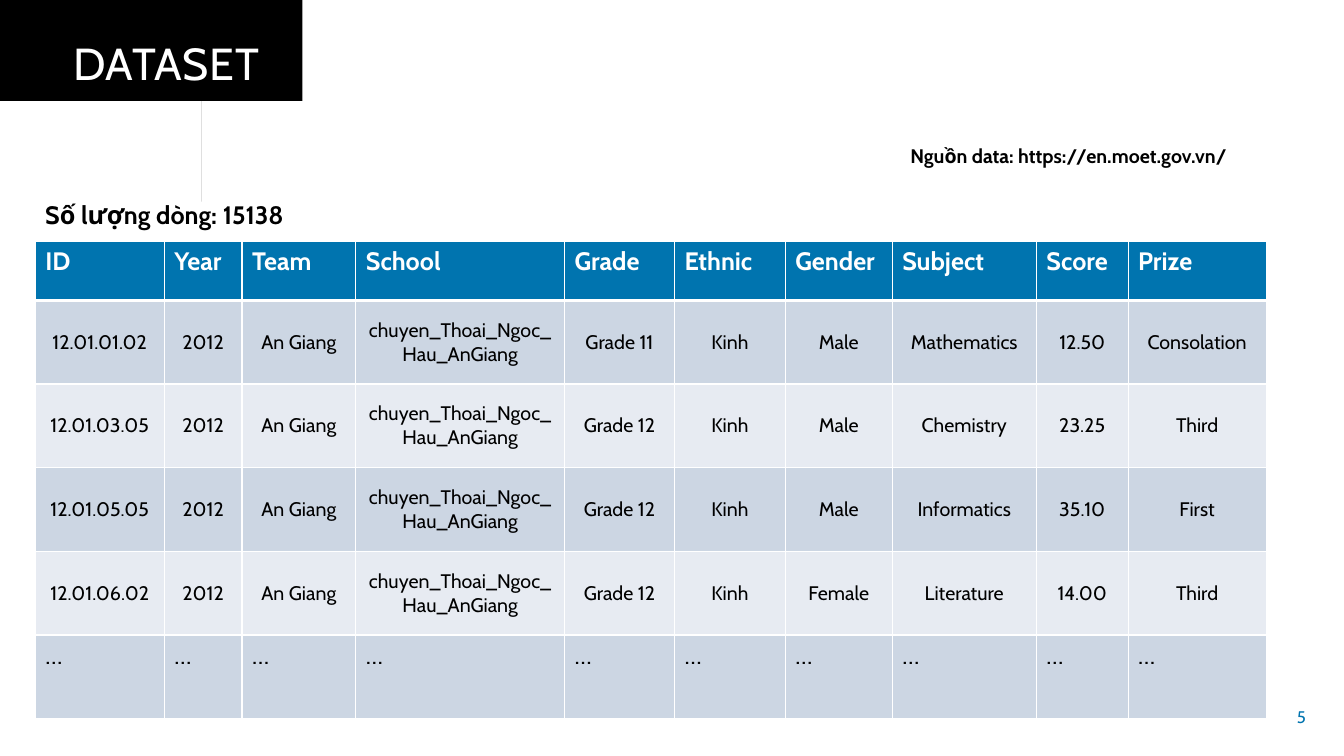
from math import cos, pi, sin

from lxml.etree import SubElement
from pptx import Presentation
from pptx.dml.color import RGBColor
from pptx.enum.text import MSO_ANCHOR as Anchor, PP_ALIGN as Align
from pptx.oxml.ns import qn
from pptx.util import Inches, Pt

FONT = "Cabin"
BLACK, WHITE, BLUE = "000000", "FFFFFF", "0074AF"
BANDS = ["CCD6E3", "E7EBF2"]

TITLE = "DATASET"
SOURCE = "Nguồn data: https://en.moet.gov.vn/"
ROW_COUNT = "Số lượng dòng: 15138"
PAGE_NUMBER = "5"

SCHOOL = "chuyen_Thoai_Ngoc_Hau_AnGiang"
COLUMNS = [
    ("ID", 1.28), ("Year", 0.77), ("Team", 1.13), ("School", 2.07), ("Grade", 1.09),
    ("Ethnic", 1.1), ("Gender", 1.06), ("Subject", 1.43), ("Score", 0.91), ("Prize", 1.37),
]
RECORDS = [
    ("12.01.01.02", "2012", "An Giang", SCHOOL, "Grade 11", "Kinh", "Male", "Mathematics", "12.50", "Consolation"),
    ("12.01.03.05", "2012", "An Giang", SCHOOL, "Grade 12", "Kinh", "Male", "Chemistry", "23.25", "Third"),
    ("12.01.05.05", "2012", "An Giang", SCHOOL, "Grade 12", "Kinh", "Male", "Informatics", "35.10", "First"),
    ("12.01.06.02", "2012", "An Giang", SCHOOL, "Grade 12", "Kinh", "Female", "Literature", "14.00", "Third"),
]
HEADER_HEIGHT, ROW_HEIGHT = 0.59, 0.83
TABLE_LEFT, TABLE_TOP = 0.35, 2.39
DISC_CENTER, DISC_RADIUS, DISC_STEPS = 1.645, 1.5, 90


def color(value):
    return RGBColor.from_string(value)


def write(frame, text, size, ink, bold=False, align=Align.LEFT):
    paragraph = frame.paragraphs[0]
    paragraph.text = text
    paragraph.alignment = align
    font = paragraph.font
    font.name, font.size, font.bold = FONT, Pt(size), bold
    font.color.rgb = color(ink)
    return paragraph


def add_text(slide, box, text, size, ink, bold=False, align=Align.LEFT, wrap=True, anchor=Anchor.TOP):
    frame = slide.shapes.add_textbox(*map(Inches, box)).text_frame
    frame.word_wrap = wrap
    frame.vertical_anchor = anchor
    return write(frame, text, size, ink, bold, align)


def add_half_disc(slide):
    angles = [pi * step / DISC_STEPS for step in range(DISC_STEPS + 1)]
    points = [(DISC_CENTER + DISC_RADIUS * cos(angle), DISC_RADIUS * sin(angle)) for angle in angles]
    builder = slide.shapes.build_freeform(*points[0], scale=Inches(1))
    builder.add_line_segments(points[1:], close=True)
    shape = builder.convert_to_shape()
    shape.shadow.inherit = False
    shape.fill.solid()
    shape.fill.fore_color.rgb = color(BLACK)
    shape.line.fill.background()


def set_borders(cell, widths):
    properties = cell._tc.get_or_add_tcPr()
    for index, (side, width) in enumerate(widths.items()):
        line = SubElement(properties, qn(f"a:ln{side}"), w=str(Pt(width)))
        fill = SubElement(line, qn("a:solidFill"))
        SubElement(fill, qn("a:srgbClr"), val=WHITE)
        properties.insert(index, line)


def add_table(slide):
    names = [name for name, width in COLUMNS]
    rows = [names, *RECORDS, ["…"] * len(names)]
    heights = [HEADER_HEIGHT] + [ROW_HEIGHT] * (len(rows) - 1)
    total_width = sum(width for name, width in COLUMNS)
    table = slide.shapes.add_table(
        len(rows), len(names), Inches(TABLE_LEFT), Inches(TABLE_TOP),
        Inches(total_width), Inches(sum(heights)),
    ).table
    for column, (name, width) in zip(table.columns, COLUMNS):
        column.width = Inches(width)
    for row_index, (values, height) in enumerate(zip(rows, heights)):
        table.rows[row_index].height = Inches(height)
        is_header = row_index == 0
        is_record = 0 < row_index <= len(RECORDS)
        background = BLUE if is_header else BANDS[(row_index - 1) % 2]
        borders = {"L": 1, "R": 1, "T": 3 if row_index == 1 else 1, "B": 3 if is_header else 1}
        for column_index, value in enumerate(values):
            cell = table.cell(row_index, column_index)
            cell.fill.solid()
            cell.fill.fore_color.rgb = color(background)
            set_borders(cell, borders)
            cell.vertical_anchor = Anchor.MIDDLE if is_record else Anchor.TOP
            write(cell.text_frame, value, 14 if is_record else 18, WHITE if is_header else BLACK,
                  is_header, Align.CENTER if is_record else Align.LEFT)


def main():
    presentation = Presentation()
    presentation.slide_width, presentation.slide_height = Inches(13.33), Inches(7.5)
    slide = presentation.slides.add_slide(presentation.slide_layouts[6])
    add_half_disc(slide)
    title = add_text(slide, (0.35, 0.37, 2.6, 0.59), TITLE, 32, WHITE, align=Align.CENTER)
    title.line_spacing = 0.9
    title.runs[0].font._element.set("spc", "60")
    source = add_text(slide, (8.93, 1.41, 3.73, 0.53), SOURCE, 14, BLACK, bold=True)
    source.line_spacing = 0.9
    add_text(slide, (12.5, 6.91, 0.55, 0.4), PAGE_NUMBER, 12, BLUE,
             align=Align.RIGHT, wrap=False, anchor=Anchor.MIDDLE)
    add_table(slide)
    add_text(slide, (0.35, 1.93, 2.9, 0.4), ROW_COUNT, 18, BLACK, bold=True, wrap=False)
    presentation.save("out.pptx")


if __name__ == "__main__":
    main()
